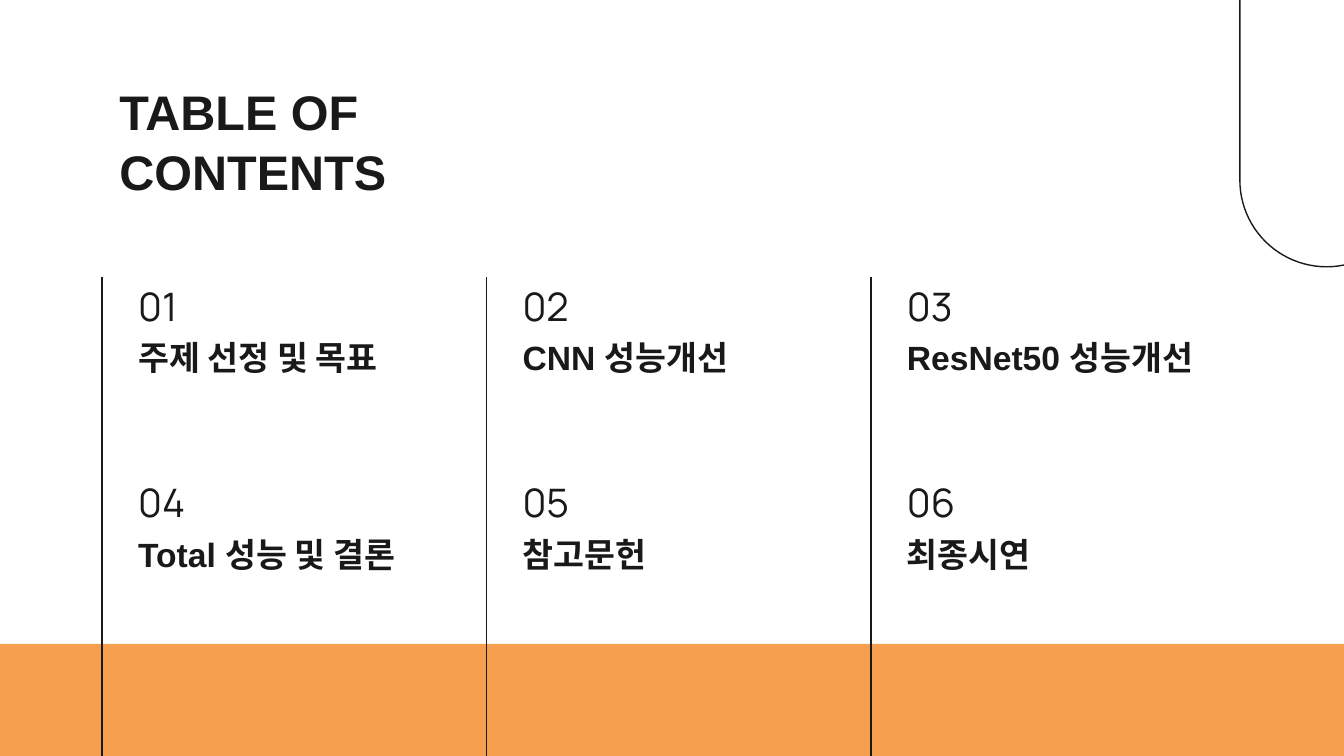
from pptx import Presentation
from pptx.dml.color import RGBColor
from pptx.enum.shapes import MSO_CONNECTOR, MSO_SHAPE
from pptx.enum.text import MSO_ANCHOR
from pptx.oxml.ns import qn
from pptx.util import Inches, Pt
from lxml.etree import SubElement

INK, ORANGE = "191919", "F5A04F"
TITLE = "TABLE OF CONTENTS"
ENTRIES = [
    "주제 선정 및 목표", "CNN 성능개선", "ResNet50 성능개선",
    "Total 성능 및 결론", "참고문헌", "최종시연",
]

WIDTH, HEIGHT = 10, 5.625
COLUMNS = 3
LEFT, TOP = 0.76, 2.06
COLUMN_STEP, ROW_STEP = 2.86, 1.46
INDENT = 0.17
BAND_TOP = 4.79


def color(hex_code):
    return RGBColor.from_string(hex_code)


def add_text(text, x, y, w, h, size, font="Arial", bold=False,
             anchor=MSO_ANCHOR.TOP, spacing=None):
    tf = s.shapes.add_textbox(*map(Inches, (x, y, w, h))).text_frame
    tf.word_wrap = True
    tf.vertical_anchor = anchor
    tf.margin_left = tf.margin_right = Inches(0.1)
    tf.margin_top = tf.margin_bottom = Inches(0.1)
    p = tf.paragraphs[0]
    p.line_spacing = spacing
    r = p.add_run()
    r.text = text
    r.font.name, r.font.size, r.font.bold = font, Pt(size), bold
    r.font.color.rgb = color(INK)


def add_shape(kind, x, y, w, h, fill=None, line=None):
    sp = s.shapes.add_shape(kind, *map(Inches, (x, y, w, h)))
    sp.shadow.inherit = False
    if fill:
        sp.fill.solid()
        sp.fill.fore_color.rgb = color(fill)
    else:
        sp.fill.background()
    if line:
        sp.line.color.rgb = color(line)
        sp.line.width = Pt(0.75)
    else:
        sp.line.fill.background()
    return sp


def add_rule(x):
    """Vertical line from the top of the grid to the foot of the slide."""
    rule = s.shapes.add_connector(
        MSO_CONNECTOR.STRAIGHT, *map(Inches, (x, TOP, x, HEIGHT)))
    rule.line.color.rgb = color(INK)
    rule.line.width = Pt(0.75)
    SubElement(rule._element.spPr, qn("a:effectLst"))


prs = Presentation()
prs.slide_width, prs.slide_height = Inches(WIDTH), Inches(HEIGHT)
s = prs.slides.add_slide(prs.slide_layouts[6])

add_shape(MSO_SHAPE.RECTANGLE, 0, BAND_TOP, WIDTH, HEIGHT - BAND_TOP, fill=ORANGE)
capsule = add_shape(MSO_SHAPE.ROUNDED_RECTANGLE, 7.61, -0.92, 4.52, 1.29, line=INK)
capsule.adjustments[0] = 0.5
capsule.rotation = 90

add_text(TITLE, 0.79, 0.49, 3.5, 1.4, 26, bold=True, spacing=1.04)

for i, entry in enumerate(ENTRIES):
    row, column = divmod(i, COLUMNS)
    x = LEFT + INDENT + column * COLUMN_STEP
    y = TOP + row * ROW_STEP
    add_text(f"{i + 1:02}", x, y, 0.8, 0.49, 21, font="Manrope",
             anchor=MSO_ANCHOR.BOTTOM)
    add_text(entry, x, y + 0.35, 2.52, 0.56, 18, bold=True)

for column in range(COLUMNS):
    add_rule(LEFT + column * COLUMN_STEP)

prs.save("out.pptx")
